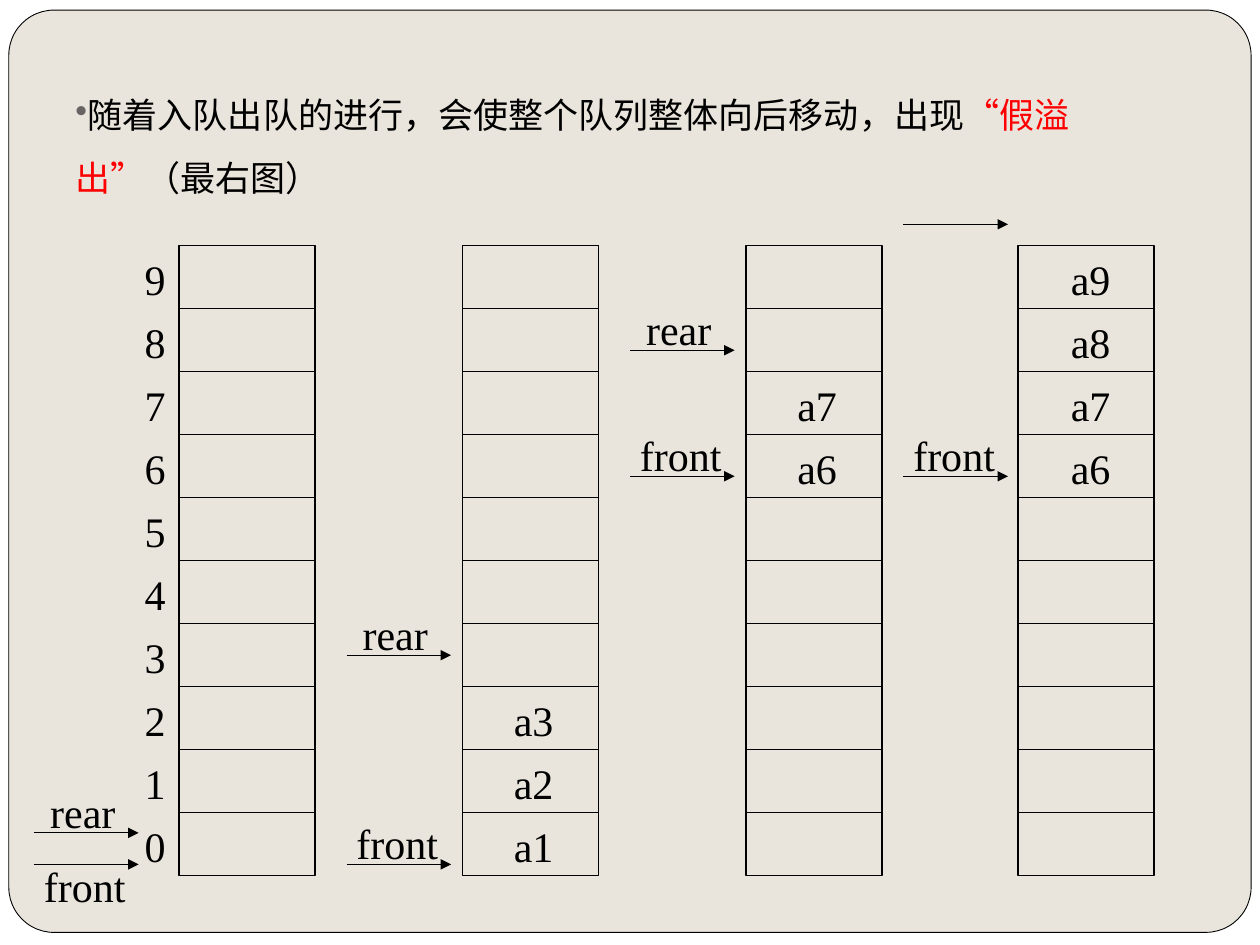
from lxml.etree import SubElement
from pptx import Presentation
from pptx.dml.color import RGBColor
from pptx.enum.shapes import MSO_CONNECTOR, MSO_SHAPE
from pptx.enum.text import MSO_AUTO_SIZE
from pptx.oxml.ns import qn
from pptx.util import Inches, Pt

COLORS = {"paper": "E9E5DC", "white": "FFFFFF", "ink": "000000",
          "accent": "FF0000", "bullet": "696464"}
FONT = "Times New Roman"
TOP, CELL, CELL_COUNT, QUEUE_WIDTH = 1.95, 0.5, 10, 1.08


def add_line(shapes, x1, x2, y, arrow=False):
    line = shapes.add_connector(MSO_CONNECTOR.STRAIGHT, Inches(x1), Inches(y),
                                Inches(x2), Inches(y))
    line.line.color.rgb = RGBColor.from_string(COLORS["ink"])
    line.line.width = Pt(0.75)
    properties = line._element.spPr
    if arrow:
        SubElement(properties.find(qn("a:ln")), qn("a:tailEnd"), type="triangle")
    SubElement(properties, qn("a:effectLst"))


def add_label(left, top, width, lines, spacing=None):
    height = CELL * len(lines) + (0.1 if spacing else 0)
    box = slide.shapes.add_textbox(Inches(left), Inches(top), Inches(width), Inches(height))
    frame = box.text_frame
    frame.word_wrap = False
    frame.auto_size = MSO_AUTO_SIZE.SHAPE_TO_FIT_TEXT
    frame.text = "\n".join(lines)
    for para in frame.paragraphs:
        para.line_spacing = spacing
        for span in para.runs:
            span.font.size = Pt(24)
            span.font.name = FONT
            span.font.color.rgb = RGBColor.from_string(COLORS["ink"])


deck = Presentation()
deck.slide_width, deck.slide_height = Inches(10), Inches(7.5)
slide = deck.slides.add_slide(deck.slide_layouts[6])

# Background: rounded panel on white
slide.background.fill.solid()
slide.background.fill.fore_color.rgb = RGBColor.from_string(COLORS["paper"])
page = slide.shapes.add_shape(MSO_SHAPE.RECTANGLE, 0, 0, deck.slide_width, deck.slide_height)
page.fill.solid()
page.fill.fore_color.rgb = RGBColor.from_string(COLORS["white"])
page.line.fill.background()
page.shadow.inherit = False
panel = slide.shapes.add_shape(MSO_SHAPE.ROUNDED_RECTANGLE, Inches(0.07), Inches(0.08),
                               Inches(9.86), Inches(7.32))
panel.adjustments[0] = 0.049
panel.fill.solid()
panel.fill.fore_color.rgb = RGBColor.from_string(COLORS["paper"])
panel.line.color.rgb = RGBColor.from_string(COLORS["ink"])
panel.line.width = Pt(0.5)
panel.shadow.inherit = False

# Explanation
explanation = slide.shapes.add_textbox(Inches(0.5), Inches(0.53), Inches(8.5), Inches(1.11))
explanation.text_frame.word_wrap = True
explanation.text_frame.auto_size = MSO_AUTO_SIZE.SHAPE_TO_FIT_TEXT
para = explanation.text_frame.paragraphs[0]
para.line_spacing = 1.5
for text, color in [("随着入队出队的进行，会使整个队列整体向后移动，出现", "ink"),
                    ("“假溢出”", "accent"), ("（最右图）", "ink")]:
    span = para.add_run()
    span.text = text
    span.font.size = Pt(20)
    span.font.name = FONT
    span.font.color.rgb = RGBColor.from_string(COLORS[color])
paragraph_properties = para._p.get_or_add_pPr()
bullet_color = SubElement(paragraph_properties, qn("a:buClr"))
SubElement(bullet_color, qn("a:srgbClr"), val=COLORS["bullet"])
SubElement(paragraph_properties, qn("a:buChar"), char="•")

# Queues, each a frame with cell dividers
for left in (1.42, 3.67, 5.92, 8.08):
    queue = slide.shapes.add_group_shape()
    frame = queue.shapes.add_shape(MSO_SHAPE.RECTANGLE, Inches(left), Inches(TOP),
                                   Inches(QUEUE_WIDTH), Inches(CELL * CELL_COUNT))
    frame.fill.background()
    frame.line.color.rgb = RGBColor.from_string(COLORS["ink"])
    frame.line.width = Pt(0.75)
    frame.shadow.inherit = False
    for row in range(1, CELL_COUNT):
        add_line(queue.shapes, left, left + QUEUE_WIDTH, TOP + row * CELL)

# Pointers: arrow start, arrow height, name, label offset from the arrow
LABELS = {"front": (-0.02, 0.85), "rear": (0.03, 0.72)}
for left, y, name, offset in [
    (0.27, 6.86, "front", -0.08), (0.27, 6.61, "rear", -0.42),
    (2.75, 6.86, "front", -0.42), (2.75, 5.2, "rear", -0.42),
    (5, 3.78, "front", -0.42), (5, 2.78, "rear", -0.42),
    (7.17, 3.78, "front", -0.42), (7.17, 1.78, None, 0),
]:
    add_line(slide.shapes, left, left + 0.83, y, arrow=True)
    if name:
        shift, width = LABELS[name]
        add_label(left + shift, y + offset, width, [name])

# Queue contents and cell numbers: left, width, first row, entries
for left, width, row, entries in [
    (3.98, 0.52, 7, ["a3", "a2", "a1"]),
    (6.23, 0.52, 2, ["a7", "a6"]),
    (8.4, 0.52, 0, ["a9", "a8", "a7", "a6"]),
    (1.05, 0.37, 0, [str(number) for number in reversed(range(CELL_COUNT))]),
]:
    add_label(left, TOP - 0.09 + row * CELL, width, entries, spacing=1.25)

deck.save("out.pptx")
